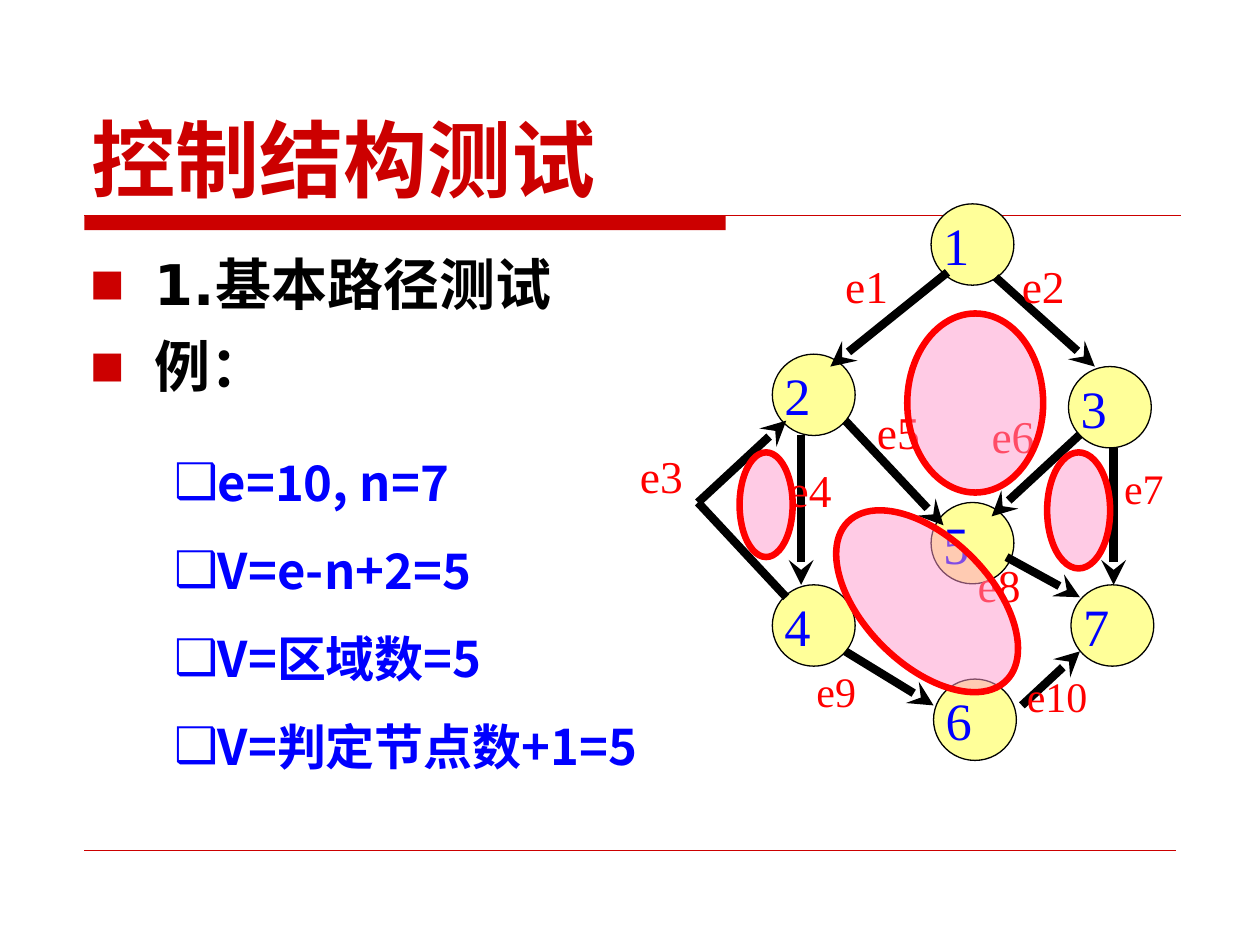
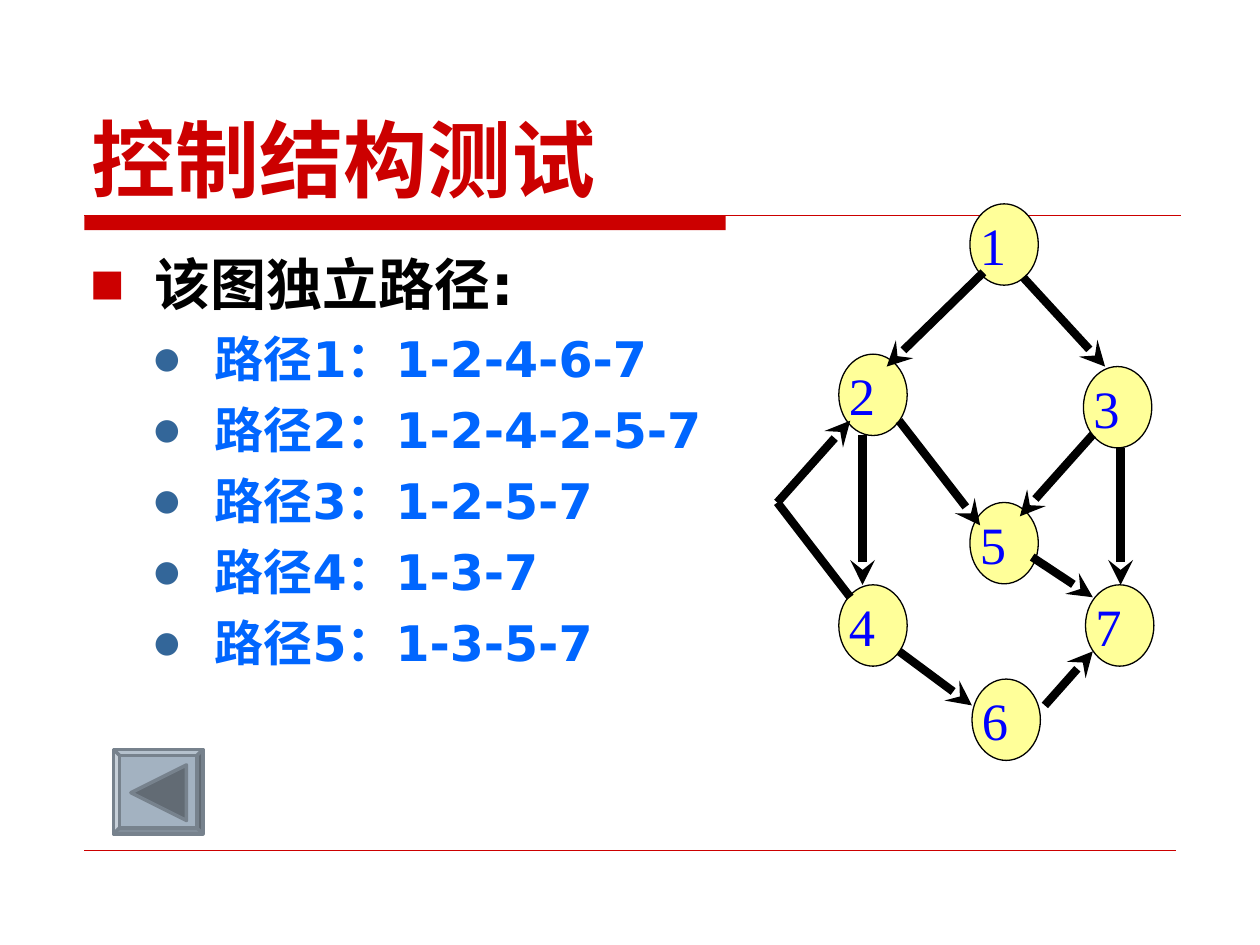
from lxml import etree
from pptx import Presentation
from pptx import util as u
from pptx.dml.color import RGBColor
from pptx.enum import shapes, text
from pptx.oxml.ns import qn

RED = RGBColor(0xCC, 0x00, 0x00)
BRIGHT_RED = RGBColor(0xFF, 0x00, 0x00)
BLACK = RGBColor(0x00, 0x00, 0x00)
BLUE = RGBColor(0x00, 0x00, 0xFF)
PATH_BLUE = RGBColor(0x00, 0x66, 0xFF)
DOT_BLUE = RGBColor(0x33, 0x66, 0x99)
YELLOW = RGBColor(0xFF, 0xFF, 0x99)
PINK = RGBColor(0xFF, 0x99, 0xCC)
BUTTON = RGBColor(0xA3, 0xB2, 0xC1)
BUTTON_EDGE = RGBColor(0x77, 0x82, 0x8D)
BUTTON_ARROW = RGBColor(0x62, 0x6B, 0x74)

SANS, CJK, SERIF = "DejaVu Sans", "Noto Sans CJK SC", "Times New Roman"
OVAL = shapes.MSO_SHAPE.OVAL

# Flow graph, in centimetres
NODE_WIDTH, NODE_HEIGHT = 1.67, 1.64
NODES = {"1": (18.77, 4.11), "2": (15.57, 7.14), "3": (21.54, 7.39),
         "4": (15.57, 11.79), "5": (18.77, 10.13), "6": (18.82, 13.69),
         "7": (21.59, 11.79)}
LOOP_CORNER = (14.07, 10.13)
ARROWS = [
    ((19.1, 5.49), (16.74, 7.39)), ((20.07, 5.59), (22.07, 7.39)),
    ((16.15, 8.76), (16.15, 11.79)), ((22.45, 9.04), (22.45, 11.79)),
    ((17.04, 13.13), (18.82, 14.22)), ((20.6, 14.22), (21.77, 13.13)),
    ((17.04, 8.48), (19.02, 10.59)), ((20.29, 11.23), (21.77, 12.04)),
    ((21.77, 8.76), (19.99, 10.41)), (LOOP_CORNER, (15.85, 8.48)),
]
LOOP_START = (15.85, 12.04)
EDGE_LABELS = [
    ("e1", 17.04, 5.21, 26), ("e2", 20.6, 5.21, 26), ("e3", 12.9, 9.04, 26),
    ("e4", 15.9, 9.32, 26), ("e5", 17.68, 8.15, 26), ("e6", 19.99, 8.23, 26),
    ("e7", 22.66, 9.32, 24), ("e8", 19.71, 11.23, 26),
    ("e9", 16.46, 13.41, 24), ("e10", 20.7, 13.51, 24),
]
REGIONS = [(18.29, 6.32, 2.74, 3.61, 0), (14.91, 9.12, 1.07, 2.11, 0),
           (17.42, 9.86, 2.54, 4.52, 315), (21.11, 9.12, 1.27, 2.34, 0)]


def add_xml(parent, tag, **attributes):
    return etree.SubElement(parent, qn(tag), attributes)


class Deck:
    def __init__(self):
        self.presentation = Presentation()
        self.presentation.slide_width = u.Cm(25.4)
        self.presentation.slide_height = u.Cm(19.05)
        self.slide = None

    def new_slide(self, title):
        """Start a slide with the shared rules and title."""
        self.slide = self.presentation.slides.add_slide(self.presentation.slide_layouts[6])
        self.shape(shapes.MSO_SHAPE.RECTANGLE, 1.7, 4.34, 12.93, 0.3, RED)
        self.line((1.7, 4.34), (23.8, 4.34), RED, 0.75)
        self.line((1.7, 17.15), (23.7, 17.15), RED, 0.25)
        frame = self.text_box(1.6, 1.65, 22.23, 2.67, inset=True)
        frame.vertical_anchor = text.MSO_ANCHOR.BOTTOM
        self.run(frame.paragraphs[0], title, 48, CJK, RED, bold=True)

    def shape(self, kind, left, top, width, height, fill, edge=None, edge_width=0.75):
        shape = self.slide.shapes.add_shape(
            kind, u.Cm(left), u.Cm(top), u.Cm(width), u.Cm(height))
        shape.shadow.inherit = False
        shape.fill.solid()
        shape.fill.fore_color.rgb = fill
        if edge is None:
            shape.line.fill.background()
        else:
            shape.line.color.rgb = edge
            shape.line.width = u.Pt(edge_width)
        return shape

    def line(self, start, end, color, width, arrow=False):
        connector = self.slide.shapes.add_connector(
            shapes.MSO_CONNECTOR.STRAIGHT, *(u.Cm(value) for value in (*start, *end)))
        connector.line.color.rgb = color
        connector.line.width = u.Pt(width)
        if arrow:
            add_xml(connector.line._get_or_add_ln(), "a:tailEnd", type="stealth")
        add_xml(connector._element.spPr, "a:effectLst")

    def clear_insets(self, frame):
        frame.margin_left = frame.margin_right = 0
        frame.margin_top = frame.margin_bottom = 0

    def text_box(self, left, top, width, height, inset=False):
        box = self.slide.shapes.add_textbox(
            u.Cm(left), u.Cm(top), u.Cm(width), u.Cm(height))
        frame = box.text_frame
        frame.word_wrap = True
        if not inset:
            self.clear_insets(frame)
        return frame

    def run(self, paragraph, words, size, font, color, bold=False):
        run = paragraph.add_run()
        run.text = words
        run.font.size = u.Pt(size)
        run.font.name = font
        run.font.bold = bold
        run.font.color.rgb = color
        add_xml(run._r.get_or_add_rPr(), "a:ea", typeface=CJK)

    def bullets(self, frame, items, mark, mark_color, mark_percent, indent, hang,
                size, font, color, spacing, before=0):
        """Append bulleted paragraphs; spacing and before are in points."""
        for item in items:
            first = not frame.paragraphs[0].runs
            paragraph = frame.paragraphs[0] if first else frame.add_paragraph()
            properties = paragraph._p.get_or_add_pPr()
            properties.set("marL", str(u.Cm(indent)))
            properties.set("indent", str(-u.Cm(hang)))
            add_xml(add_xml(properties, "a:buClr"), "a:srgbClr", val=str(mark_color))
            add_xml(properties, "a:buSzPct", val=str(mark_percent * 1000))
            add_xml(properties, "a:buFont", typeface=SANS)
            add_xml(properties, "a:buChar", char=mark)
            paragraph.line_spacing = u.Pt(spacing)
            paragraph.space_before = u.Pt(0 if first else before)
            self.run(paragraph, item, size, font, color, bold=True)

    def body(self, headings, paths=()):
        frame = self.text_box(1.57, 4.88, 22.23, 11.86, inset=True)
        self.bullets(frame, headings, "■", RED, 65, 1.3, 1.3, 32, SANS, BLACK, 39, 8)
        self.bullets(frame, paths, "●", DOT_BLUE, 60, 2.51, 1.22,
                     28, SANS, PATH_BLUE, 33.6, 7)

    def graph(self, left=LOOP_CORNER[0], scale=1):
        """Draw the flow graph from its left edge, scaled horizontally."""
        def place(point):
            return left + (point[0] - LOOP_CORNER[0]) * scale, point[1]

        for number, corner in NODES.items():
            node = self.shape(OVAL, *place(corner), NODE_WIDTH * scale, NODE_HEIGHT,
                              YELLOW, BLACK)
            frame = node.text_frame
            self.clear_insets(frame)
            frame.word_wrap = False
            frame.vertical_anchor = text.MSO_ANCHOR.MIDDLE
            frame.paragraphs[0].alignment = text.PP_ALIGN.LEFT
            self.run(frame.paragraphs[0], number, 30, SERIF, BLUE)
        self.line(place(LOOP_START), place(LOOP_CORNER), BLACK, 4.75)
        for start, end in ARROWS:
            self.line(place(start), place(end), BLACK, 4.75, arrow=True)

    def edge_label(self, name, left, top, size):
        frame = self.text_box(left, top, 2.08 if len(name) > 2 else 1.43, 1.05)
        self.run(frame.paragraphs[0], name, size, SERIF, BRIGHT_RED)

    def region(self, left, top, width, height, rotation):
        oval = self.shape(OVAL, left, top, width, height, PINK, BRIGHT_RED, 3.75)
        oval.rotation = rotation
        color = oval._element.spPr.find(qn("a:solidFill")).find(qn("a:srgbClr"))
        add_xml(color, "a:alpha", val="50000")

    def back_button(self):
        bevel = self.shape(shapes.MSO_SHAPE.BEVEL, 2.29, 15.11, 1.8, 1.7,
                           BUTTON, BUTTON_EDGE, 2)
        bevel.adjustments[0] = 0.07
        arrow = self.shape(shapes.MSO_SHAPE.ISOSCELES_TRIANGLE, 2.64, 15.42, 1.12, 1.12,
                           BUTTON_ARROW, BUTTON_EDGE, 2)
        arrow.rotation = 270


def main():
    deck = Deck()

    # Cyclomatic complexity of the graph
    deck.new_slide("控制结构测试")
    deck.body(["1.基本路径测试", "例："])
    deck.graph()
    for label in EDGE_LABELS:
        deck.edge_label(*label)
    results = deck.text_box(3.51, 8.53, 9.4, 8.89)
    deck.bullets(results, ["e=10, n=7", "V=e-n+2=5", "V=区域数=5", "V=判定节点数+1=5"],
                 "❑", BLUE, 100, 0.57, 0.57, 28, CJK, BLUE, 50.3)
    for region in REGIONS:
        deck.region(*region)

    # Independent paths
    deck.new_slide("控制结构测试")
    routes = ["1-2-4-6-7", "1-2-4-2-5-7", "1-2-5-7", "1-3-7", "1-3-5-7"]
    deck.body(["该图独立路径:"],
              [f"路径{number}：{route}" for number, route in enumerate(routes, 1)])
    deck.graph(left=15.67, scale=0.826)
    deck.back_button()

    deck.presentation.save("out.pptx")


if __name__ == "__main__":
    main()
